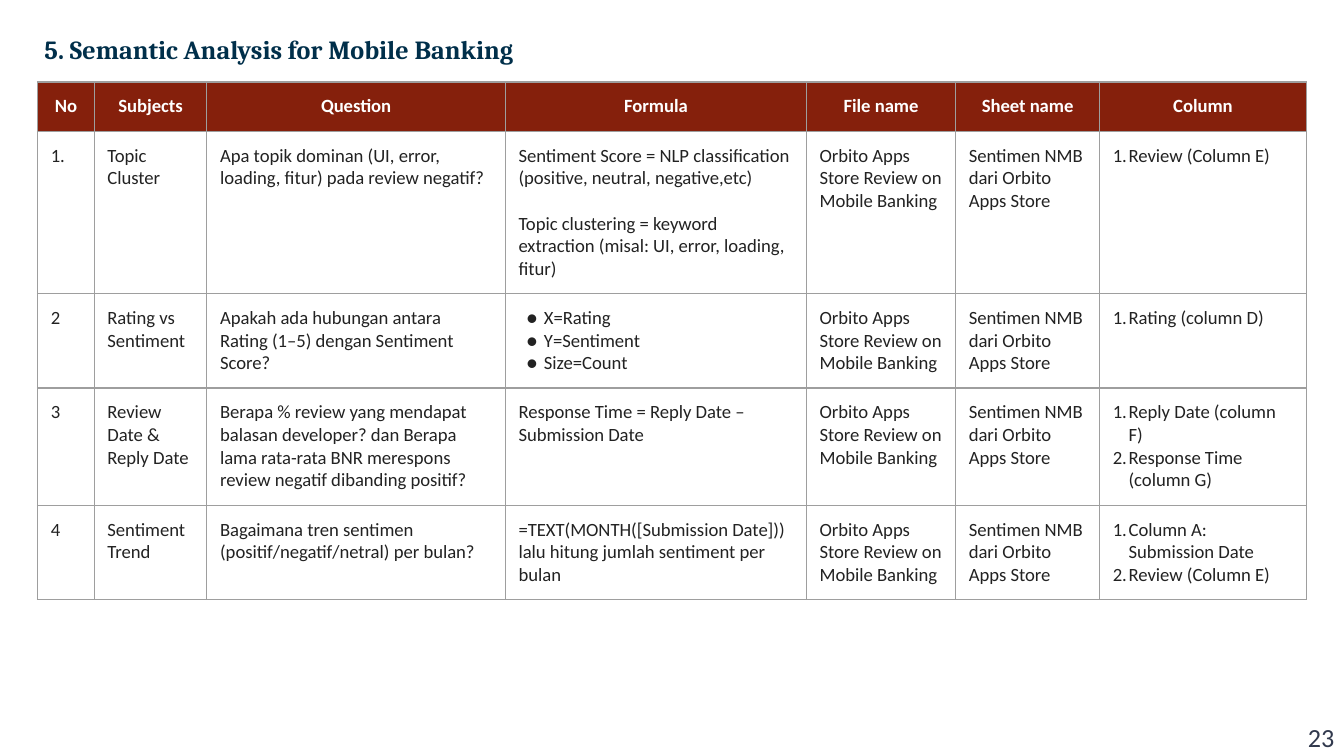
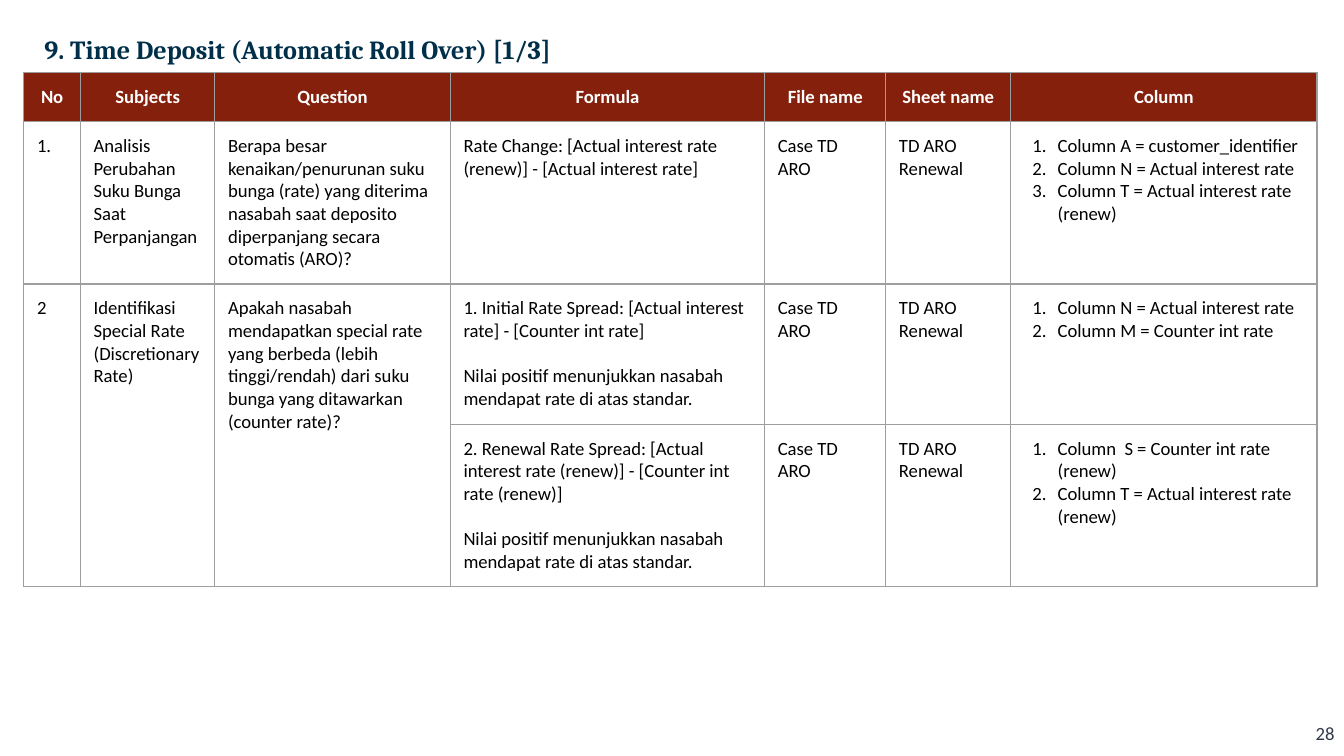
"""Build two slides that map analysis questions to formulas and data columns."""
from dataclasses import dataclass

from pptx import Presentation
from pptx import util as u
from pptx.dml import color
from pptx.enum import text
from pptx.oxml import ns, xmlchemy

NAVY, SLATE, MAROON = "002F4A", "31394D", "85200C"
GREY, INK, BLACK, WHITE = "9E9E9E", "222222", "000000", "FFFFFF"
HEADING_FONT, BODY_FONT = "Cambria", "Calibri"
BODY_SIZE = 10
HEADERS = ["No", "Subjects", "Question", "Formula", "File name", "Sheet name", "Column"]


@dataclass
class Listing:
    """Items of a numbered or bulleted list with their indent in centimetres."""
    items: list
    margin: float
    hanging: float
    bullet: str = ""


@dataclass
class Grid:
    """Placement, colours and rows of one question table."""
    left: float
    top: float
    widths: list
    heights: list
    ink: str
    fill: str
    rows: list
    merges: tuple = ()


def rgb(value):
    """Turn a hex string into a colour."""
    return color.RGBColor.from_string(value)


def add_run(paragraph, wording, size, ink, font=BODY_FONT, bold=False):
    """Add one formatted run."""
    run = paragraph.add_run()
    run.text = wording
    run.font.name, run.font.size, run.font.bold = font, u.Pt(size), bold
    run.font.color.rgb = rgb(ink)


def set_insets(frame):
    """Give a text frame the shared narrow insets."""
    frame.margin_left = frame.margin_right = u.Cm(0.18)
    frame.margin_top = frame.margin_bottom = u.Cm(0.1)
    frame.word_wrap = True


def add_child(parent, tag, **attributes):
    """Append a drawing element with attributes."""
    child = xmlchemy.OxmlElement(tag)
    for key, value in attributes.items():
        child.set(key, str(value))
    parent.append(child)
    return child


def add_border(cell):
    """Draw a thin grey line on all four sides of a cell."""
    properties = cell._tc.get_or_add_tcPr()
    for side in "LRTB":
        line = add_child(properties, f"a:ln{side}", w=u.Pt(0.75))
        add_child(add_child(line, "a:solidFill"), "a:srgbClr", val=GREY)


def add_marker(paragraph, listing, ink):
    """Make a paragraph an item of its list."""
    properties = paragraph._p.get_or_add_pPr()
    properties.set("marL", str(u.Cm(listing.margin)))
    properties.set("indent", str(-u.Cm(listing.hanging)))
    add_child(add_child(properties, "a:buClr"), "a:srgbClr", val=ink)
    if listing.bullet:
        add_child(properties, "a:buFont", typeface=BODY_FONT)
        add_child(properties, "a:buChar", char=listing.bullet)
    else:
        add_child(properties, "a:buAutoNum", type="arabicPeriod")


def fill_cell(cell, content, ink, fill, header=False):
    """Format one cell and write its paragraphs or list."""
    add_border(cell)
    if fill:
        cell.fill.solid()
        cell.fill.fore_color.rgb = rgb(fill)
    else:
        cell.fill.background()
    cell.margin_left = cell.margin_right = u.Cm(0.25)
    cell.margin_top = cell.margin_bottom = u.Cm(0.25)
    if content is None:
        return
    is_list = isinstance(content, Listing)
    for index, wording in enumerate(content.items if is_list else content.split("\n")):
        frame = cell.text_frame
        paragraph = frame.add_paragraph() if index else frame.paragraphs[0]
        if header:
            paragraph.alignment = text.PP_ALIGN.CENTER
        if is_list:
            add_marker(paragraph, content, ink)
        elif index:
            paragraph.space_before = u.Pt(12.2)
        add_run(paragraph, wording, BODY_SIZE, ink, bold=header)


def add_grid(slide, grid):
    """Add a question table with its header row."""
    frame = slide.shapes.add_table(
        len(grid.heights), len(HEADERS), u.Cm(grid.left), u.Cm(grid.top),
        u.Cm(sum(grid.widths)), u.Cm(sum(grid.heights)))
    table = frame.table
    table.horz_banding = False
    for column, width in zip(table.columns, grid.widths):
        column.width = u.Cm(width)
    for row, height in zip(table.rows, grid.heights):
        row.height = u.Cm(height)
    for column, heading in enumerate(HEADERS):
        fill_cell(table.cell(0, column), heading, WHITE, MAROON, header=True)
    for row, contents in enumerate(grid.rows, 1):
        for column, content in enumerate(contents):
            fill_cell(table.cell(row, column), content, grid.ink, grid.fill)
    for first, last, column in grid.merges:
        table.cell(first, column).merge(table.cell(last, column))


def add_title(slide, wording):
    """Place and format the slide title."""
    title = slide.shapes.title
    title.left, title.top = u.Cm(0.66), u.Cm(0.38)
    title.width, title.height = u.Cm(23.98), u.Cm(1.17)
    frame = title.text_frame
    set_insets(frame)
    frame.auto_size = text.MSO_AUTO_SIZE.NONE
    frame.vertical_anchor = text.MSO_ANCHOR.MIDDLE
    paragraph = frame.paragraphs[0]
    paragraph.alignment = text.PP_ALIGN.LEFT
    paragraph.line_spacing = 0.9
    add_run(paragraph, wording, 14, NAVY, HEADING_FONT, bold=True)


def add_page_number(slide, number, size):
    """Write the page number in the bottom right corner."""
    box = slide.shapes.add_textbox(u.Cm(18.49), u.Cm(13.54), u.Cm(6.91), u.Cm(0.75))
    set_insets(box.text_frame)
    paragraph = box.text_frame.paragraphs[0]
    paragraph.alignment = text.PP_ALIGN.RIGHT
    add_run(paragraph, number, size, SLATE)


def add_question_slide(deck, heading, grid, number, number_size):
    """Add a slide with title, question table and page number."""
    slide = deck.slides.add_slide(deck.slide_layouts.get_by_name("Title Only"))
    add_title(slide, heading)
    add_grid(slide, grid)
    add_page_number(slide, number, number_size)


def review_columns(*items):
    """Number the columns of the review file."""
    return Listing(items, 0.3, 0.33)


def deposit_columns(*items):
    """Number the columns of the deposit file."""
    return Listing(items, 0.64, 0.48)


def banking_grid():
    """Return the table on mobile banking reviews."""
    source = ["Orbito Apps Store Review on Mobile Banking",
              "Sentimen NMB dari Orbito Apps Store"]
    return Grid(
        0.71, 1.55, [1.07, 2.13, 5.64, 5.69, 2.82, 2.72, 3.91],
        [0.92, 3.07, 1.78, 2.2, 1.78], INK, "", [
            ["1.", "Topic Cluster",
             "Apa topik dominan (UI, error, loading, fitur) pada review negatif?",
             "Sentiment Score = NLP classification (positive, neutral, negative,etc)\n"
             "Topic clustering = keyword extraction (misal: UI, error, loading, fitur)",
             *source, review_columns("Review (Column E)")],
            ["2", "Rating vs Sentiment",
             "Apakah ada hubungan antara Rating (1–5) dengan Sentiment Score?",
             Listing(["X=Rating", "Y=Sentiment", "Size=Count"], 0.48, 0.33, "●"),
             *source, review_columns("Rating (column D)")],
            ["3", "Review Date & Reply Date",
             "Berapa % review yang mendapat balasan developer? dan Berapa lama "
             "rata-rata BNR merespons review negatif dibanding positif?",
             "Response Time = Reply Date – Submission Date",
             *source, review_columns("Reply Date (column F)", "Response Time (column G)")],
            ["4", "Sentiment Trend",
             "Bagaimana tren sentimen (positif/negatif/netral) per bulan?",
             "=TEXT(MONTH([Submission Date])) lalu hitung jumlah sentiment per bulan",
             *source, review_columns("Column A: Submission Date", "Review (Column E)")],
        ])


def deposit_grid():
    """Return the table on automatic roll over deposits."""
    source = ["Case TD ARO", "TD ARO Renewal"]
    meaning = "Nilai positif menunjukkan nasabah mendapat rate di atas standar."
    return Grid(
        0.45, 1.37, [1.07, 2.54, 4.45, 5.94, 2.29, 2.36, 5.79],
        [0.92, 3.07, 2.65, 3.07], BLACK, WHITE, [
            ["1.", "Analisis Perubahan Suku Bunga Saat Perpanjangan",
             "Berapa besar kenaikan/penurunan suku bunga (rate) yang diterima nasabah "
             "saat deposito diperpanjang secara otomatis (ARO)?",
             "Rate Change: [Actual interest rate (renew)] - [Actual interest rate]",
             *source, deposit_columns("Column A = customer_identifier",
                                      "Column N = Actual interest rate",
                                      "Column T = Actual interest rate (renew)")],
            ["2", "Identifikasi Special Rate (Discretionary Rate)",
             "Apakah nasabah mendapatkan special rate yang berbeda (lebih tinggi/rendah) "
             "dari suku bunga yang ditawarkan (counter rate)?",
             "1. Initial Rate Spread: [Actual interest rate] - [Counter int rate]\n" + meaning,
             *source, deposit_columns("Column N = Actual interest rate",
                                      "Column M = Counter int rate")],
            [None, None, None,
             "2. Renewal Rate Spread: [Actual interest rate (renew)] - "
             "[Counter int rate (renew)]\n" + meaning,
             *source, deposit_columns("Column  S = Counter int rate (renew)",
                                      "Column T = Actual interest rate (renew)")],
        ], tuple((2, 3, column) for column in range(3)))


def main():
    """Build and save the deck."""
    deck = Presentation()
    deck.slide_width, deck.slide_height = u.Cm(25.4), u.Cm(14.29)
    add_question_slide(deck, "5. Semantic Analysis for Mobile Banking",
                       banking_grid(), "23", 14)
    add_question_slide(deck, "9. Time Deposit (Automatic Roll Over) [1/3]",
                       deposit_grid(), "28", 10)
    deck.save("out.pptx")


if __name__ == "__main__":
    main()
